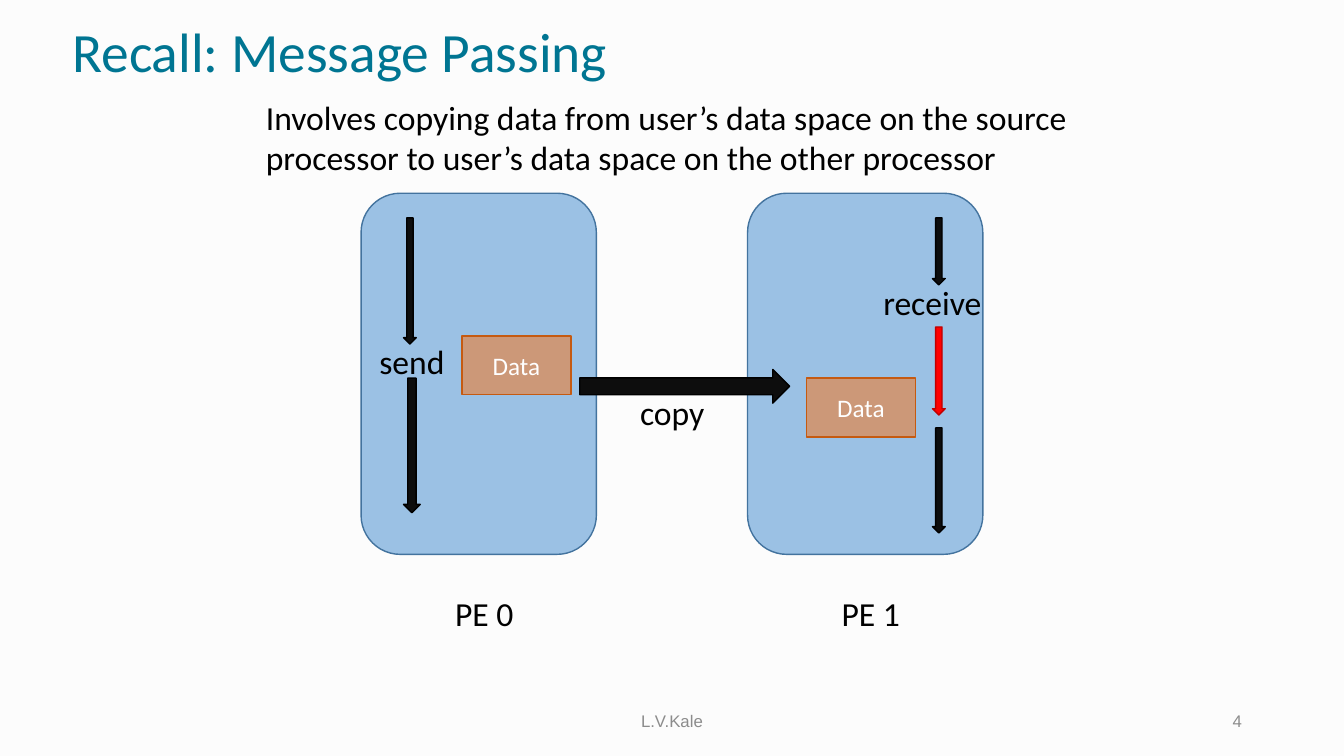
from lxml.etree import SubElement
from pptx import Presentation
from pptx.dml.color import RGBColor
from pptx.enum.shapes import MSO_SHAPE
from pptx.enum.text import MSO_ANCHOR, MSO_AUTO_SIZE, PP_ALIGN
from pptx.oxml.ns import qn
from pptx.util import Cm, Pt

COLORS = {
    "background": "FCFCFC",
    "title": "007592",
    "footer": "8C8C8C",
    "text": "000000",
    "data_text": "FFFFFF",
    "processor": "5B9BD5",
    "processor_line": "43739E",
    "data": "ED7D31",
    "data_line": "C55A11",
    "arrow": "0D0D0D",
    "arrow_line": "000000",
    "waiting": "FF0000",
    "waiting_line": "C00000",
}
PROCESSOR_LEFT = 9.1
PROCESSOR_PITCH = 9.74
SEND_AXIS = 10.33
RECEIVE_AXIS = 23.66


def color(name):
    return RGBColor.from_string(COLORS[name])


def write(frame, text, size=24, font="Calibri", ink="text", align=PP_ALIGN.LEFT,
          anchor=MSO_ANCHOR.TOP, wrap=True, spacing=None):
    frame.word_wrap = wrap
    frame.auto_size = MSO_AUTO_SIZE.NONE
    frame.vertical_anchor = anchor
    paragraph = frame.paragraphs[0]
    paragraph.alignment = align
    paragraph.line_spacing = spacing
    run = paragraph.add_run()
    run.text = text
    run.font.size = Pt(size)
    run.font.name = font
    run.font.color.rgb = color(ink)


def add_label(slide, text, left, top, width, height=1.3, **style):
    label = slide.shapes.add_textbox(Cm(left), Cm(top), Cm(width), Cm(height))
    write(label.text_frame, text, **style)


def add_block(slide, kind, left, top, width, height, fill, opacity=None):
    block = slide.shapes.add_shape(kind, Cm(left), Cm(top), Cm(width), Cm(height))
    block.shadow.inherit = False
    block.fill.solid()
    block.fill.fore_color.rgb = color(fill)
    block.line.color.rgb = color(fill + "_line")
    block.line.width = Pt(1)
    if opacity is not None:
        tint = block.fill._xPr.find(qn("a:solidFill"))[0]
        SubElement(tint, qn("a:alpha"), val=str(opacity * 1000))
    return block


def add_processor(slide, rank):
    offset = rank * PROCESSOR_PITCH
    add_block(slide, MSO_SHAPE.ROUNDED_RECTANGLE, PROCESSOR_LEFT + offset, 4.87,
              5.93, 9.1, "processor", opacity=60)
    add_label(slide, f"PE {rank}", 11.22 + offset, 14.81, 2.01, wrap=False)


def add_data(slide, left, top):
    data = add_block(slide, MSO_SHAPE.RECTANGLE, left, top, 2.75, 1.48, "data", opacity=60)
    write(data.text_frame, "Data", size=18, ink="data_text",
          align=PP_ALIGN.CENTER, anchor=MSO_ANCHOR.MIDDLE)


def add_down_arrow(slide, axis, top, length, thickness=0.32, fill="arrow"):
    arrow = add_block(slide, MSO_SHAPE.RIGHT_ARROW, axis - length / 2,
                      top + (length - thickness) / 2, length, thickness, fill)
    arrow.rotation = 90


def add_title(slide, text):
    title = slide.shapes.title
    title.left, title.top, title.width, title.height = Cm(1.57), Cm(0.43), Cm(29.21), Cm(1.88)
    write(title.text_frame, text, size=39.6, ink="title",
          anchor=MSO_ANCHOR.MIDDLE, spacing=0.9)


def add_footer(slide, text, left, width, align):
    add_label(slide, text, left, 17.65, width, 1.02, size=12, font="Arial",
              ink="footer", align=align, anchor=MSO_ANCHOR.MIDDLE)


def main():
    deck = Presentation()
    deck.slide_width, deck.slide_height = Cm(33.87), Cm(19.05)
    slide = deck.slides.add_slide(deck.slide_layouts[5])
    slide.background.fill.solid()
    slide.background.fill.fore_color.rgb = color("background")

    add_title(slide, "Recall: Message Passing")
    add_footer(slide, "L.V.Kale", 11.22, 11.43, PP_ALIGN.CENTER)
    add_footer(slide, "4", 23.93, 7.62, PP_ALIGN.RIGHT)

    for rank in range(2):
        add_processor(slide, rank)
    add_data(slide, 11.64, 8.47)
    add_data(slide, 20.32, 9.53)

    add_label(slide, "send", 9.31, 8.47, 2.18, wrap=False)
    add_label(slide, "receive", 22.01, 6.99, 3.02, wrap=False)
    add_block(slide, MSO_SHAPE.RIGHT_ARROW, 14.61, 9.31, 5.29, 0.85, "arrow")
    add_label(slide, "copy", 15.88, 9.74, 2.16, wrap=False)

    add_down_arrow(slide, SEND_AXIS, 5.49, 3.18)
    add_down_arrow(slide, SEND_AXIS + 0.05, 9.53, 3.39, thickness=0.42)
    add_down_arrow(slide, RECEIVE_AXIS, 5.49, 1.69)
    add_down_arrow(slide, RECEIVE_AXIS, 10.78, 2.65)
    add_down_arrow(slide, RECEIVE_AXIS, 8.24, 2.22, fill="waiting")

    add_label(slide, "Involves copying data from user’s data space on the source "
              "processor to user’s data space on the other processor",
              6.45, 2.31, 20.96, 2.31)
    deck.save("out.pptx")


if __name__ == "__main__":
    main()
